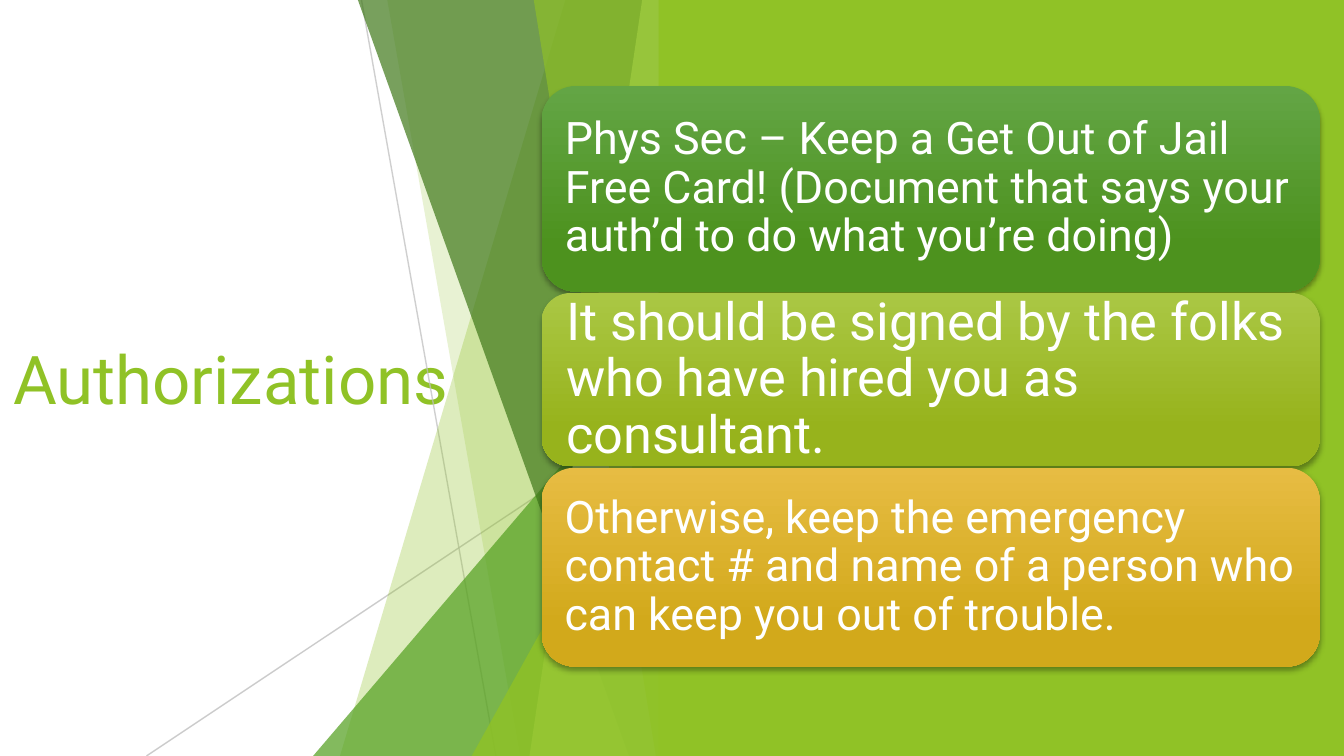
from dataclasses import dataclass

from lxml.etree import SubElement
from pptx import Presentation
from pptx.dml.color import RGBColor
from pptx.enum.shapes import MSO_CONNECTOR as Connector, MSO_SHAPE as Shape
from pptx.enum.text import MSO_ANCHOR as Anchor, PP_ALIGN as Align
from pptx.oxml.ns import qn
from pptx.util import Inches, Pt


@dataclass(frozen=True)
class Theme:
    font: str = "Roboto"
    lime: str = "90C226"
    green: str = "54A021"
    forest: str = "3F7819"
    pale: str = "C0E474"
    white: str = "FFFFFF"
    gray: str = "BFBFBF"
    shadow: str = "000000"
    card_greens: tuple = ("63A545", "4D921E")
    card_limes: tuple = ("AAC744", "97B31C")
    card_golds: tuple = ("E7BC43", "D2A91B")
    title_size: int = 36
    card_size: int = 24
    large_card_size: int = 28


THEME = Theme()
WIDTH = 10
HEIGHT = WIDTH * 9 / 16
FACET_TOP, FACET_RIGHT = -0.01, 5


def set_alpha(fill, percent):
    """Give a solid fill's colour an opacity."""
    color = fill._xPr.find(qn("a:solidFill"))[0]
    SubElement(color, qn("a:alpha"), val=str(percent * 1000))


def paint(shape, color, opacity=100):
    shape.shadow.inherit = False
    shape.line.fill.background()
    shape.fill.solid()
    shape.fill.fore_color.rgb = RGBColor.from_string(color)
    if opacity < 100:
        set_alpha(shape.fill, opacity)


def add_ray(page, start, end, opacity):
    ends = [Inches(value) for value in (*start, *end)]
    ray = page.shapes.add_connector(Connector.STRAIGHT, *ends)
    ray.line.width = Pt(0.75)
    ray.line.fill.solid()
    ray.line.color.rgb = RGBColor.from_string(THEME.gray)
    set_alpha(ray.line.fill, opacity)
    SubElement(ray._element.spPr, qn("a:effectLst"))


def add_shard(page, top_x, bottom_x, color, opacity):
    """Full-height facet with a slanted left edge."""
    corners = [(top_x, FACET_TOP), (FACET_RIGHT, FACET_TOP),
               (FACET_RIGHT, HEIGHT), (bottom_x, HEIGHT)]
    points = [(Inches(x), Inches(y)) for x, y in corners]
    builder = page.shapes.build_freeform(*points[0])
    builder.add_line_segments(points[1:], close=True)
    paint(builder.convert_to_shape(), color, opacity)


def add_corner(page, left, top, color, opacity):
    """Right triangle in the lower corner of the facets."""
    corner = page.shapes.add_shape(
        Shape.ISOSCELES_TRIANGLE, Inches(left), Inches(top),
        Inches(FACET_RIGHT - left), Inches(HEIGHT - top))
    corner.adjustments[0] = 1
    paint(corner, color, opacity)


def add_panel(page, left):
    panel = page.shapes.add_shape(Shape.RECTANGLE, Inches(left), 0,
                                  Inches(WIDTH - left), Inches(HEIGHT))
    paint(panel, THEME.lime)


def write(shape, text, size, color):
    frame = shape.text_frame
    frame.word_wrap = True
    frame.vertical_anchor = Anchor.MIDDLE
    frame.text = text
    para = frame.paragraphs[0]
    para.alignment = Align.LEFT
    font = para.runs[0].font
    font.name = THEME.font
    font.size = Pt(size)
    font.color.rgb = RGBColor.from_string(color)
    return frame


def add_title(page, text):
    box = page.shapes.add_textbox(0, Inches(1.13), Inches(3.5), Inches(3.36))
    write(box, text, THEME.title_size, THEME.lime)


def add_drop_shadow(shape):
    shape.shadow.inherit = False
    effects = shape._element.spPr.find(qn("a:effectLst"))
    shadow = SubElement(effects, qn("a:outerShdw"), blurRad=str(Pt(3)),
                        dist=str(Pt(2)), dir="5400000", rotWithShape="0")
    color = SubElement(shadow, qn("a:srgbClr"), val=THEME.shadow)
    SubElement(color, qn("a:alpha"), val="35000")


def add_card(page, top, height, colors, text, size, inset):
    card = page.shapes.add_shape(Shape.ROUNDED_RECTANGLE, Inches(4.03),
                                 Inches(top), Inches(5.79), Inches(height))
    card.line.fill.background()
    card.fill.gradient()
    card.fill.gradient_angle = 270
    for stop, position, color in zip(card.fill.gradient_stops, (0, 0.78), colors):
        stop.position = position
        stop.color.rgb = RGBColor.from_string(color)
    add_drop_shadow(card)

    frame = write(card, text, size, THEME.white)
    frame.margin_left = frame.margin_right = Inches(inset)
    frame.margin_top = frame.margin_bottom = Inches(inset)
    frame.paragraphs[0].line_spacing = 0.9


def add_facets(page):
    add_ray(page, (2.69, 0), (3.69, HEIGHT), 75)
    add_ray(page, (5, 3.02), (1.09, HEIGHT), 80)
    add_shard(page, 4.21, 2.53, THEME.lime, 30)
    add_shard(page, 2.88, 3.87, THEME.lime, 20)
    add_corner(page, 2.33, 2.5, THEME.green, 72)
    add_shard(page, 2.66, 4.68, THEME.forest, 70)
    add_shard(page, 4.78, 3.94, THEME.pale, 70)
    add_shard(page, 3.97, 4.88, THEME.lime, 65)
    add_corner(page, 3.51, 2.94, THEME.lime, 80)


def main():
    deck = Presentation()
    deck.slide_width, deck.slide_height = Inches(WIDTH), Inches(HEIGHT)
    page = deck.slides.add_slide(deck.slide_layouts[6])

    # Title and background
    add_title(page, "Authorizations")
    add_facets(page)
    add_panel(page, 4.9)

    # Advice cards
    add_card(page, 0.64, 1.53, THEME.card_greens,
             "Phys Sec – Keep a Get Out of Jail Free Card! "
             "(Document that says your auth’d to do what you’re doing)",
             THEME.card_size, 0.1)
    add_card(page, 2.18, 1.29, THEME.card_limes,
             "It should be signed by the folks who have hired you as consultant.",
             THEME.large_card_size, 0.12)
    add_card(page, 3.48, 1.48, THEME.card_golds,
             "Otherwise, keep the emergency contact # and name of a person "
             "who can keep you out of trouble.",
             THEME.card_size, 0.1)

    deck.save("out.pptx")


if __name__ == "__main__":
    main()
